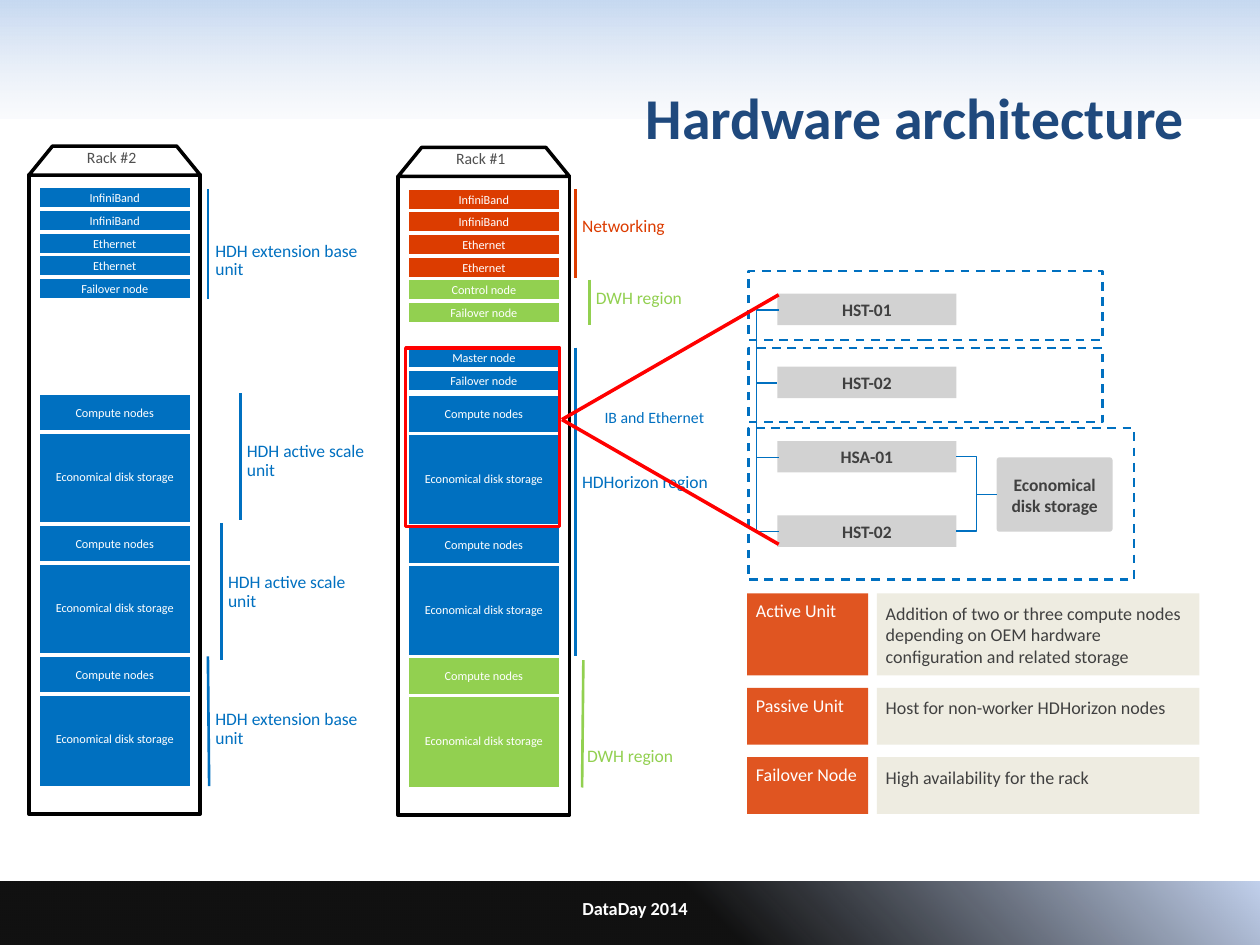
"""Build the hardware architecture slide with two racks, node wiring and definitions."""
from lxml import etree
from pptx import Presentation
from pptx.dml.color import RGBColor
from pptx.enum.dml import MSO_LINE
from pptx.enum.shapes import MSO_CONNECTOR as Link, MSO_SHAPE as Geo
from pptx.enum.text import MSO_ANCHOR as Anchor, MSO_AUTO_SIZE as AutoSize, PP_ALIGN as Align
from pptx.oxml import parse_xml
from pptx.oxml.ns import nsdecls, qn
from pptx.util import Inches, Pt

BLUE = RGBColor(0x00, 0x70, 0xC0)
ORANGE = RGBColor(0xDC, 0x3C, 0x00)
GREEN = RGBColor(0x92, 0xD0, 0x50)
RED = RGBColor(0xFF, 0x00, 0x00)
NAVY = RGBColor(0x1F, 0x49, 0x7D)
BLACK = RGBColor(0x00, 0x00, 0x00)
WHITE = RGBColor(0xFF, 0xFF, 0xFF)
SILVER = RGBColor(0xD2, 0xD2, 0xD2)
CREAM = RGBColor(0xEE, 0xEC, 0xE1)
CHARCOAL = RGBColor(0x40, 0x40, 0x40)
GRAY = RGBColor(0x50, 0x50, 0x50)

SLOT_PITCH, UNIT_PITCH = 0.18, 1.04
BLOCK_WIDTH = 1.22


def write(holder, text, size, color, bold=False, align=Align.LEFT, anchor=Anchor.TOP,
          insets=(0.1, 0.05, 0.1, 0.05), spacing=None, after=None, wrap=True):
    frame = holder.text_frame
    frame.word_wrap = wrap
    frame.vertical_anchor = anchor
    frame.margin_left, frame.margin_top, frame.margin_right, frame.margin_bottom = map(Inches, insets)
    paragraph = frame.paragraphs[0]
    paragraph.alignment = align
    if spacing:
        paragraph.line_spacing = spacing
    if after:
        paragraph.space_after = Pt(after)
    run = paragraph.add_run()
    run.text = text
    run.font.name = "Calibri"
    run.font.size = Pt(size)
    run.font.bold = bold
    run.font.color.rgb = color


def add_text(slide, box, text, size, color, **style):
    holder = slide.shapes.add_textbox(*map(Inches, box))
    write(holder, text, size, color, **style)
    return holder


def add_label(slide, box, text, color, size=10, wrap=True):
    label = add_text(slide, box, text, size, color, insets=(0.15, 0.12, 0.15, 0.12),
                     spacing=0.9, after=4.4, wrap=wrap)
    label.text_frame.auto_size = AutoSize.SHAPE_TO_FIT_TEXT


def add_box(slide, box, fill=None, line=None, weight=2, geometry=Geo.RECTANGLE):
    shape = slide.shapes.add_shape(geometry, *map(Inches, box))
    shape.shadow.inherit = False
    if fill is None:
        shape.fill.background()
    else:
        shape.fill.solid()
        shape.fill.fore_color.rgb = fill
    if line is None:
        shape.line.fill.background()
    else:
        shape.line.color.rgb = line
        shape.line.width = Pt(weight)
    return shape


def add_band(slide, box, angle, stops):
    band = add_box(slide, box)
    marks = "".join(
        f'<a:gs pos="{pos * 1000}"><a:srgbClr val="{color}"><a:alpha val="{alpha * 1000}"/></a:srgbClr></a:gs>'
        for pos, color, alpha in stops)
    gradient = parse_xml(f'<a:gradFill {nsdecls("a")}><a:gsLst>{marks}</a:gsLst>'
                         f'<a:lin ang="{angle * 60000}" scaled="0"/></a:gradFill>')
    properties = band._element.spPr
    properties.replace(properties.find(qn("a:noFill")), gradient)


def add_line(slide, start, end, color, weight=1.5, kind=Link.STRAIGHT):
    line = slide.shapes.add_connector(kind, *map(Inches, (*start, *end)))
    line.line.color.rgb = color
    line.line.width = Pt(weight)
    etree.SubElement(line._element.spPr, qn("a:effectLst"))
    return line


def add_block(slide, box, text, color):
    block = add_box(slide, box, color, WHITE)
    write(block, text, 7, WHITE, align=Align.CENTER, anchor=Anchor.MIDDLE, insets=(0, 0.05, 0, 0.05))


def add_rack(slide, left, top, name, slots, unit_colors):
    add_box(slide, (left, top, 1.36, 5.07), WHITE, BLACK)
    roof = add_box(slide, (left, top - 0.23, 1.36, 0.23), WHITE, BLACK, geometry=Geo.TRAPEZOID)
    roof.adjustments[0] = 0.815
    block_left = left + 0.07
    for index, text, color in slots:
        add_block(slide, (block_left, top + 0.09 + index * SLOT_PITCH, BLOCK_WIDTH, 0.18), text, color)
    for index, color in enumerate(unit_colors):
        unit_top = top + 1.73 + index * UNIT_PITCH
        add_block(slide, (block_left, unit_top + 0.28, BLOCK_WIDTH, 0.77), "Economical disk storage", color)
        add_block(slide, (block_left, unit_top, BLOCK_WIDTH, 0.31), "Compute nodes", color)
    add_label(slide, (left + 0.31, top - 0.27, 0.72, 0.37), name, GRAY, size=9, wrap=False)


def add_node(slide, box, text, geometry=Geo.RECTANGLE):
    node = add_box(slide, box, SILVER, geometry=geometry)
    write(node, text, 10, CHARCOAL, bold=True, align=Align.CENTER, anchor=Anchor.MIDDLE)
    return node


def add_wiring(slide):
    tops = (2.33, 2.91, 3.5, 4.09)
    names = ("HST-01", "HST-02", "HSA-01", "HST-02")
    nodes = [add_node(slide, (6.17, top, 1.42, 0.25), name) for top, name in zip(tops, names)]
    storage = add_node(slide, (7.91, 3.63, 0.92, 0.59), "Economical disk storage", Geo.ROUNDED_RECTANGLE)
    storage.adjustments[0] = 0.04
    centers = [top + 0.13 for top in tops]
    for start, end in ((0, 1), (2, 1), (3, 2)):
        bus = add_line(slide, (6.18, centers[start]), (6.17, centers[end]), BLUE, 0.75, Link.ELBOW)
        guides = bus._element.spPr.find(qn("a:prstGeom")).get_or_add_avLst()
        etree.SubElement(guides, qn("a:gd"), name="adj1", fmla="val 1800000")
    for node in nodes[2:]:
        link = add_line(slide, (7.59, 3.63), (7.91, 3.93), BLUE, 0.75, Link.ELBOW)
        link.begin_connect(node, 3)
        link.end_connect(storage, 1)
    add_text(slide, (4.7, 3.19, 1.03, 0.25), "IB and Ethernet", 9, BLUE)


def add_definition(slide, top, height, term, meaning):
    term_box = add_box(slide, (5.93, top, 0.96, height), ORANGE)
    tint = term_box._element.spPr.find(qn("a:solidFill"))[0]
    etree.SubElement(tint, qn("a:alpha"), val="87000")
    insets = (0.07, 0.07, 0, 0)
    write(term_box, term, 10.3, WHITE, insets=insets, spacing=0.9)
    meaning_box = add_box(slide, (6.96, top, 2.56, height), CREAM)
    write(meaning_box, meaning, 10.3, CHARCOAL, insets=insets)


def main():
    deck = Presentation()
    deck.slide_width, deck.slide_height = Inches(10), Inches(7.5)
    slide = deck.slides.add_slide(deck.slide_layouts[6])

    add_band(slide, (0, 0, 10, 0.94), 90, ((0, "C6D9F1", 100), (100, "E1E8F5", 16)))
    add_band(slide, (0, 7, 10, 0.51), 315,
             ((56, "000000", 93), (100, "C2D1ED", 100), (100, "E1E8F5", 16)))
    add_text(slide, (0.5, 0.3, 9, 1.25), "Hardware architecture", 33, NAVY, bold=True,
             align=Align.RIGHT, anchor=Anchor.MIDDLE)
    add_text(slide, (2.83, 7, 4.42, 0.42), "DataDay 2014", 10.5, WHITE, bold=True,
             align=Align.CENTER, anchor=Anchor.MIDDLE)

    switches = ("InfiniBand", "InfiniBand", "Ethernet", "Ethernet")
    main_slots = [(index, name, ORANGE) for index, name in enumerate(switches)]
    main_slots += [(4, "Control node", GREEN), (5, "Failover node", GREEN),
                   (7, "Master node", BLUE), (8, "Failover node", BLUE)]
    extension_slots = [(index, name, BLUE) for index, name in enumerate((*switches, "Failover node"))]
    add_rack(slide, 3.16, 1.4, "Rack #1", main_slots, (BLUE, BLUE, GREEN))
    add_rack(slide, 0.23, 1.39, "Rack #2", extension_slots, (BLUE, BLUE, BLUE))

    for start, end, color in (
            ((4.57, 2.76), (4.57, 5.21), BLUE), ((4.57, 1.5), (4.57, 2.21), ORANGE),
            ((4.68, 2.22), (4.68, 2.58), GREEN), ((4.63, 5.24), (4.62, 6.25), GREEN),
            ((1.65, 1.5), (1.65, 2.37), BLUE), ((1.65, 5.21), (1.66, 6.24), BLUE),
            ((1.76, 4.15), (1.76, 5.24), BLUE), ((1.91, 3.12), (1.91, 4.13), BLUE)):
        add_line(slide, start, end, color)
    for box, text, color in (
            ((4.47, 1.65, 1.05, 0.39), "Networking", ORANGE),
            ((4.58, 2.22, 1.36, 0.39), "DWH region", GREEN),
            ((4.51, 5.86, 1.36, 0.39), "DWH region", GREEN),
            ((4.47, 3.68, 1.68, 0.39), "HDHorizon region", BLUE),
            ((1.56, 1.8, 1.46, 0.54), "HDH extension base unit", BLUE),
            ((1.81, 3.39, 1.27, 0.54), "HDH active scale unit", BLUE),
            ((1.66, 4.43, 1.32, 0.54), "HDH active scale unit", BLUE),
            ((1.56, 5.52, 1.46, 0.54), "HDH extension base unit", BLUE)):
        add_label(slide, box, text, color)

    add_wiring(slide)
    add_box(slide, (3.22, 2.76, 1.22, 1.42), line=RED)
    for box in ((5.94, 3.4, 3.06, 1.2), (5.94, 2.15, 2.81, 0.55), (5.94, 2.76, 2.81, 0.59)):
        add_box(slide, box, line=BLUE, weight=1.25).line.dash_style = MSO_LINE.DASH

    add_definition(slide, 4.71, 0.65, "Active Unit",
                   "Addition of two or three compute nodes depending on OEM hardware "
                   "configuration and related storage")
    add_definition(slide, 5.46, 0.45, "Passive Unit", "Host for non-worker HDHorizon nodes")
    add_definition(slide, 6.01, 0.45, "Failover Node", "High availability for the rack")
    for end_top in (2.34, 4.32):
        add_line(slide, (4.46, 3.33), (6.18, end_top), RED, 2)

    deck.save("out.pptx")


if __name__ == "__main__":
    main()
